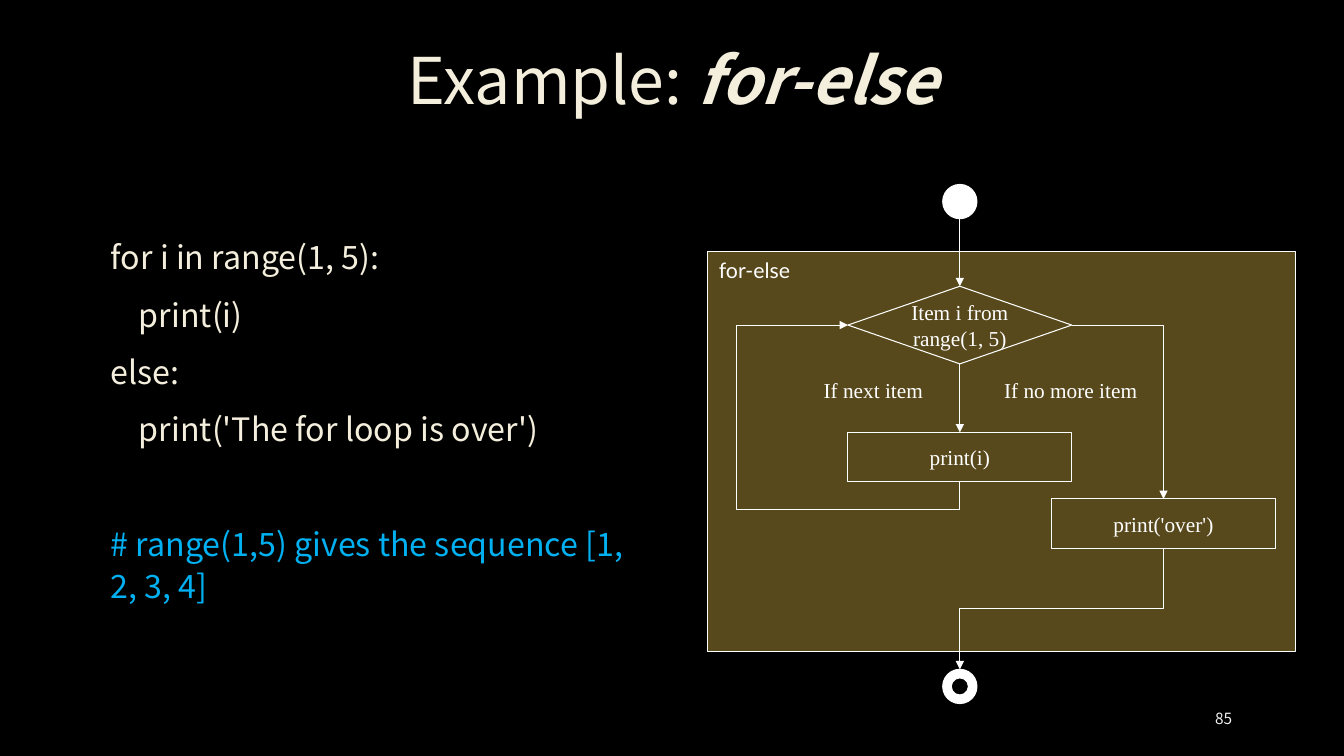
import pptx
import pptx.util
import pptx.dml.color
import pptx.enum.shapes
import pptx.enum.text
import pptx.oxml.ns
import lxml.etree
from dataclasses import dataclass

Inches, Pt = pptx.util.Inches, pptx.util.Pt
SHAPE = pptx.enum.shapes.MSO_SHAPE
LINK = pptx.enum.shapes.MSO_CONNECTOR
ALIGN = pptx.enum.text.PP_ALIGN
ANCHOR = pptx.enum.text.MSO_ANCHOR
qn = pptx.oxml.ns.qn


@dataclass(frozen=True)
class Theme:
    background: str = "000000"
    cream: str = "F4EEDC"
    comment: str = "00B0F0"
    page: str = "F2F2F2"
    white: str = "FFFFFF"
    panel: str = "58491C"
    main_font: str = "Noto Sans CJK KR"
    panel_font: str = "Lato"
    chart_font: str = "Times New Roman"
    title_size: float = 46
    code_size: float = 23
    chart_size: float = 15.2
    page_size: float = 11
    line_width: float = 0.75


T = Theme()

TITLE = [("Example: ", False), ("for-else", True)]
CODE = [  # text, indent in inches, space before in points, colour
    ("for i in range(1, 5):", 0, 4.6, T.cream),
    ("print(i)", 0.28, 4.6, T.cream),
    ("else:", 0, 4.6, T.cream),
    ("print('The for loop is over')", 0.28, 4.6, T.cream),
    ("# range(1,5) gives the sequence [1, 2, 3, 4]", 0, 45.5, T.comment),
]
CONDITION = ["Item i from", "range(1, 5)"]
BRANCHES = [("If next item", (8.07, 3.69, 1.79, 0.36)),
            ("If no more item", (9.86, 3.69, 1.96, 0.36))]

# Flowchart geometry: two column axes and the rows along them
MAIN_X, ELSE_X = 9.52, 11.54
NODE_W, NODE_H, DIAMOND_H, DOT = 2.22, 0.49, 0.77, 0.34
START_Y, TEST_Y, PRINT_Y, OVER_Y, END_Y = 1.83, 2.84, 4.29, 4.95, 6.64
PANEL = (7.02, 2.5, 5.83, 3.96)


def rgb(color):
    return pptx.dml.color.RGBColor.from_string(color)


def centred(x, top, width, height):
    return x - width / 2, top, width, height


def write(tf, text, *, size, color, font=T.main_font, align=ALIGN.LEFT,
          anchor=ANCHOR.TOP, spacing=None, wrap=True):
    """Fill a frame; text is a list of paragraphs, each a string or (text, strong) runs."""
    tf.word_wrap, tf.vertical_anchor = wrap, anchor
    for i, line in enumerate(text):
        p = tf.paragraphs[0] if i == 0 else tf.add_paragraph()
        p.alignment, p.line_spacing = align, spacing
        for part, strong in [(line, False)] if isinstance(line, str) else line:
            r = p.add_run()
            r.text = part
            r.font.name, r.font.size = font, Pt(size)
            r.font.color.rgb = rgb(color)
            r.font.bold = r.font.italic = strong


def text_box(s, box, text, **fmt):
    tf = s.shapes.add_textbox(*map(Inches, box)).text_frame
    write(tf, text, **fmt)
    return tf


def node(s, kind, box, fill=None):
    sp = s.shapes.add_shape(kind, *map(Inches, box))
    sp.shadow.inherit = False
    if fill:
        sp.fill.solid()
        sp.fill.fore_color.rgb = rgb(fill)
    else:
        sp.fill.background()
    sp.line.color.rgb = rgb(T.white)
    sp.line.width = Pt(T.line_width)
    return sp


def arrow(s, start, end, bends=0, turned=False, flipped=False, adjust=()):
    """Arrow with right-angle bends; turned ones leave their start vertically."""
    (x1, y1), (x2, y2) = start, end
    w, h = abs(x2 - x1), abs(y2 - y1)
    if turned:
        w, h = h, w
    left, top = (x1 + x2 - w) / 2, (y1 + y2 - h) / 2
    c = s.shapes.add_connector(LINK.ELBOW if bends else LINK.STRAIGHT,
                               *map(Inches, (left, top, left + w, top + h)))
    c.line.color.rgb = rgb(T.white)
    c.line.width = Pt(T.line_width)
    pr = c._element.spPr
    lxml.etree.SubElement(pr.find(qn("a:ln")), qn("a:tailEnd"), type="triangle")
    lxml.etree.SubElement(pr, qn("a:effectLst"))
    if turned:
        pr.find(qn("a:xfrm")).set("rot", "5400000")
    if flipped:
        pr.find(qn("a:xfrm")).set("flipH", "1")
    if bends:
        geom = pr.find(qn("a:prstGeom"))
        geom.set("prst", f"bentConnector{bends + 1}")
        guides = geom.find(qn("a:avLst"))
        for i, value in enumerate(adjust, 1):
            lxml.etree.SubElement(guides, qn("a:gd"), name=f"adj{i}",
                                  fmla=f"val {round(value * 100000)}")


def add_texts(s):
    text_box(s, (1.01, 0.14, 11.32, 1.38), [TITLE], size=T.title_size, color=T.cream,
             align=ALIGN.CENTER, anchor=ANCHOR.MIDDLE, spacing=0.9)
    tf = text_box(s, (1, 2.27, 5.31, 3.96), [line[0] for line in CODE],
                  size=T.code_size, color=T.cream, spacing=1.1)
    for p, (_, indent, before, color) in zip(tf.paragraphs, CODE):
        p.space_before, p.space_after = Pt(before), Pt(6)
        p._p.get_or_add_pPr().set("marL", str(Inches(indent)))
        p.runs[0].font.color.rgb = rgb(color)
    text_box(s, (11.5, 6.93, 0.82, 0.4), ["85"], size=T.page_size, color=T.page,
             align=ALIGN.RIGHT, anchor=ANCHOR.MIDDLE)


def add_flowchart(s):
    label = dict(size=T.chart_size, color=T.white, font=T.chart_font)
    middle = dict(label, align=ALIGN.CENTER, anchor=ANCHOR.MIDDLE)

    panel = node(s, SHAPE.RECTANGLE, PANEL, T.panel)
    write(panel.text_frame, ["for-else"], size=T.chart_size, color=T.white,
          font=T.panel_font, wrap=False)
    panel.text_frame.margin_left = Inches(0.11)
    test = centred(MAIN_X, TEST_Y, NODE_W, DIAMOND_H)
    node(s, SHAPE.DIAMOND, test)
    text_box(s, test, CONDITION, **middle)
    for text, x, y in [("print(i)", MAIN_X, PRINT_Y), ("print('over')", ELSE_X, OVER_Y)]:
        step = node(s, SHAPE.RECTANGLE, centred(x, y, NODE_W, NODE_H))
        write(step.text_frame, [text], **middle)
    for kind, y in [(SHAPE.OVAL, START_Y), (SHAPE.DONUT, END_Y)]:
        node(s, kind, centred(MAIN_X, y, DOT, DOT), T.white)

    test_mid = TEST_Y + DIAMOND_H / 2
    arrow(s, (MAIN_X, START_Y + DOT), (MAIN_X, TEST_Y))
    arrow(s, (MAIN_X, TEST_Y + DIAMOND_H), (MAIN_X, PRINT_Y))
    arrow(s, (MAIN_X, PRINT_Y + NODE_H), (MAIN_X - NODE_W / 2, test_mid), bends=3,
          turned=True, flipped=True, adjust=(-0.174, 1.996))
    arrow(s, (MAIN_X + NODE_W / 2, test_mid), (ELSE_X, OVER_Y), bends=1)
    arrow(s, (ELSE_X, OVER_Y + NODE_H), (MAIN_X, END_Y), bends=2, turned=True,
          adjust=(0.5,))
    for text, box in BRANCHES:
        text_box(s, box, [text], **label)


def main():
    prs = pptx.Presentation()
    prs.slide_width, prs.slide_height = Inches(13.33), Inches(7.5)
    s = prs.slides.add_slide(prs.slide_layouts[6])
    s.background.fill.solid()
    s.background.fill.fore_color.rgb = rgb(T.background)
    add_texts(s)
    add_flowchart(s)
    prs.save("out.pptx")


if __name__ == "__main__":
    main()
